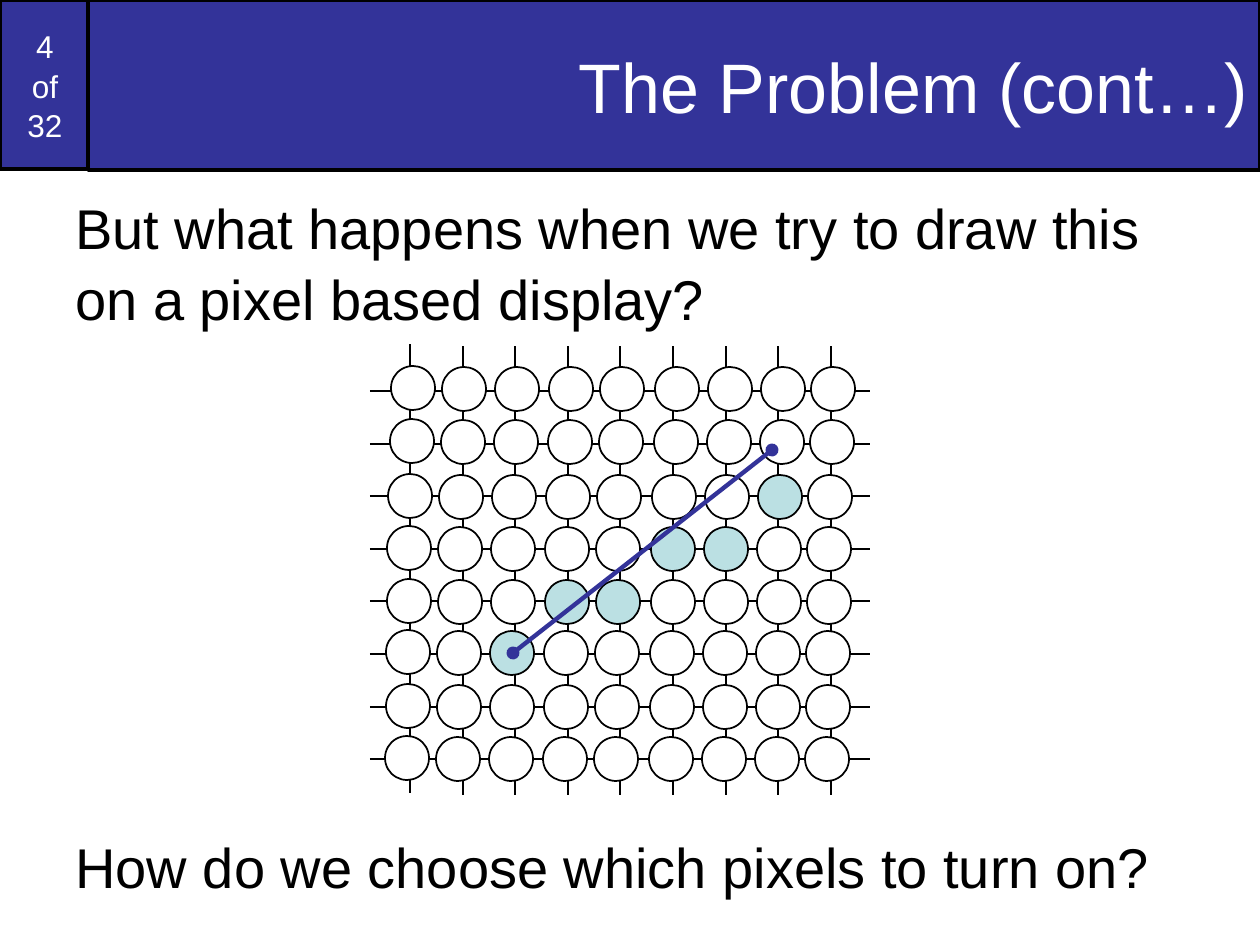
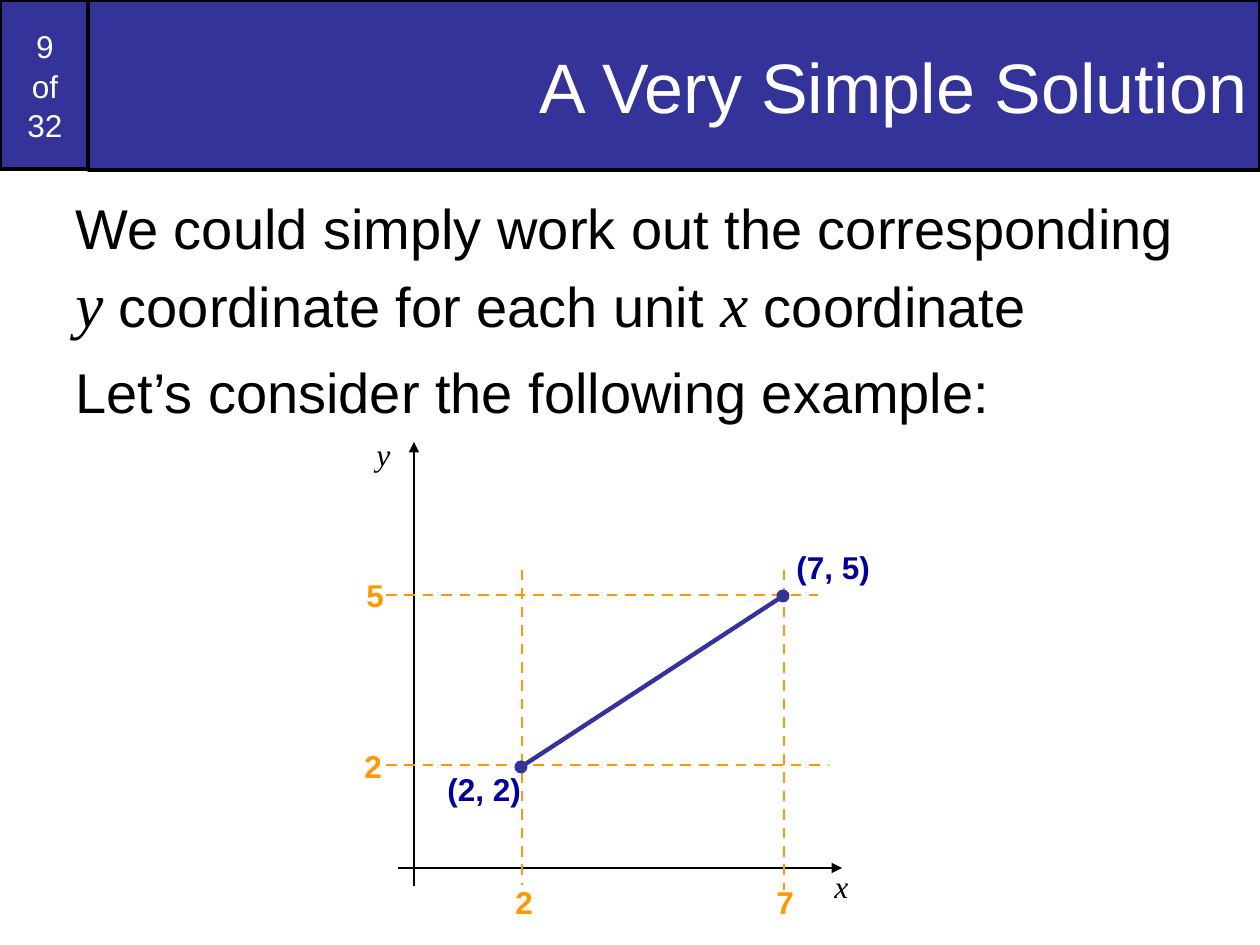
from dataclasses import dataclass
from typing import Optional

from lxml import etree
from pptx import Presentation
from pptx.dml.color import RGBColor
from pptx.enum.dml import MSO_LINE
from pptx.enum.shapes import MSO_CONNECTOR, MSO_SHAPE
from pptx.enum.text import MSO_ANCHOR, MSO_AUTO_SIZE, PP_ALIGN
from pptx.oxml.ns import qn
from pptx.util import Pt

STRAIGHT = MSO_CONNECTOR.STRAIGHT
RECTANGLE, OVAL = MSO_SHAPE.RECTANGLE, MSO_SHAPE.OVAL
LEFT, CENTER, RIGHT = PP_ALIGN.LEFT, PP_ALIGN.CENTER, PP_ALIGN.RIGHT
TOP, MIDDLE = MSO_ANCHOR.TOP, MSO_ANCHOR.MIDDLE
DASH, SOLID = MSO_LINE.DASH, MSO_LINE.SOLID
NO_FIT = MSO_AUTO_SIZE.NONE

EMU_PER_PIXEL = 914400 / 126
SLIDE_WIDTH, SLIDE_HEIGHT = 1260, 945
TITLE_ONLY = 5
SLIDE_TOTAL = 32


@dataclass(frozen=True)
class Theme:
    band: str = "333399"
    ink: str = "000000"
    paper: str = "FFFFFF"
    lit: str = "BBE0E3"
    guide: str = "FF9900"
    point: str = "000099"
    sans: str = "Arial"
    serif: str = "Times New Roman"
    title_size: int = 40
    body_size: int = 32
    symbol_size: int = 36
    small_size: int = 18
    thin: float = 1
    dashed: float = 1.5
    frame: float = 2
    segment: float = 2.5


THEME = Theme()


@dataclass(frozen=True)
class Box:
    left: int
    top: int
    width: int
    height: int


@dataclass(frozen=True)
class Line:
    x1: int
    y1: int
    x2: int
    y2: int
    color: str = THEME.ink
    weight: float = THEME.thin
    dash: MSO_LINE = SOLID
    head: Optional[str] = None
    tail: Optional[str] = None


@dataclass(frozen=True)
class Label:
    text: str
    left: int
    top: int
    width: int
    color: str = THEME.guide
    symbol: bool = False


@dataclass(frozen=True)
class Symbol:
    text: str


TITLE_BOX = Box(88, 0, 1172, 170)
BADGE_BOX = Box(0, 0, 90, 169)
LABEL_HEIGHT = 50

GRID_PITCH = 52.6
GRID_LEFT, GRID_TOP = 410, 391
COLUMNS, ROWS = 9, 8
PIXEL_SIZE = 44
PIXEL_LEFTS = (391, 442, 495, 549, 600, 655, 708, 761, 811)
PIXEL_TOPS = (367, 420, 475, 527, 580, 631, 685, 737)
ROW_SHIFTS = (0, 1, 3, 4, 4, 5, 5, 6)
LIT_PIXELS = {(2, 7), (3, 5), (3, 6), (4, 3), (4, 4), (5, 2)}

AXES = (
    Line(414, 886, 414, 442, tail="triangle"),
    Line(398, 868, 842, 868, tail="triangle"),
)
GUIDES = tuple(
    Line(*ends, color=THEME.guide, weight=THEME.dashed, dash=DASH)
    for ends in ((386, 765, 829, 765), (386, 595, 818, 595),
                 (522, 570, 522, 885), (784, 570, 784, 890))
)
AXIS_LABELS = (
    Label("x", 822, 861, 39, THEME.ink, symbol=True),
    Label("y", 364, 429, 39, THEME.ink, symbol=True),
    Label("(2, 2)", 435, 764, 98, THEME.point),
    Label("(7, 5)", 784, 542, 98, THEME.point),
    Label("2", 503, 877, 43),
    Label("7", 764, 877, 43),
    Label("2", 352, 741, 43),
    Label("5", 354, 570, 43),
)


def px(length: float) -> int:
    return round(length * EMU_PER_PIXEL)


def corners(box: Box) -> tuple:
    return px(box.left), px(box.top), px(box.width), px(box.height)


def rgb(color: str) -> RGBColor:
    return RGBColor.from_string(color)


def write_text(frame, *paragraphs, size=THEME.body_size, font=THEME.sans,
               color=THEME.ink, bold=False, italic=False, align=LEFT,
               anchor=TOP, before=0.0, spacing=1.0, wrap=True) -> None:
    frame.word_wrap = wrap
    frame.auto_size = NO_FIT
    frame.vertical_anchor = anchor
    frame.margin_left = frame.margin_right = Pt(7.2)
    frame.margin_top = frame.margin_bottom = Pt(3.6)
    for index, parts in enumerate(paragraphs):
        paragraph = frame.add_paragraph() if index else frame.paragraphs[0]
        paragraph.alignment = align
        paragraph.space_before = Pt(before)
        paragraph.line_spacing = spacing
        for part in (parts if isinstance(parts, tuple) else (parts,)):
            symbol = isinstance(part, Symbol)
            words = part.text if symbol else part
            for number, words_on_line in enumerate(words.split("\n")):
                if number:
                    paragraph.add_line_break()
                run = paragraph.add_run()
                run.text = words_on_line
                run.font.name = THEME.serif if symbol else font
                run.font.size = Pt(THEME.symbol_size if symbol else size)
                run.font.bold = bold
                run.font.italic = symbol or italic
                run.font.color.rgb = rgb(color)


def paint(shape, fill: str, weight: float) -> None:
    shape.shadow.inherit = False
    shape.fill.solid()
    shape.fill.fore_color.rgb = rgb(fill)
    shape.line.color.rgb = rgb(THEME.ink)
    shape.line.width = Pt(weight)


def draw_line(slide, line: Line) -> None:
    connector = slide.shapes.add_connector(
        STRAIGHT, px(line.x1), px(line.y1), px(line.x2), px(line.y2))
    connector.line.color.rgb = rgb(line.color)
    connector.line.width = Pt(line.weight)
    connector.line.dash_style = line.dash
    properties = connector.element.spPr
    outline = properties.find(qn("a:ln"))
    for tag, arrow in (("a:headEnd", line.head), ("a:tailEnd", line.tail)):
        if arrow:
            etree.SubElement(outline, qn(tag), type=arrow)
    etree.SubElement(properties, qn("a:effectLst"))


def draw_segment(slide, x1: int, y1: int, x2: int, y2: int) -> None:
    draw_line(slide, Line(x1, y1, x2, y2, THEME.band, THEME.segment,
                          head="oval", tail="oval"))


def add_passage(slide, box: Box, *paragraphs) -> None:
    passage = slide.shapes.add_textbox(*corners(box))
    write_text(passage.text_frame, *paragraphs, before=8, spacing=1.05)


def add_label(slide, label: Label) -> None:
    box = Box(label.left, label.top, label.width, LABEL_HEIGHT)
    caption = slide.shapes.add_textbox(*corners(box))
    write_text(caption.text_frame, label.text, size=THEME.small_size,
               font=THEME.serif if label.symbol else THEME.sans,
               color=label.color, bold=not label.symbol,
               italic=label.symbol, wrap=False)


def add_titled_slide(deck, title: str, number: int):
    slide = deck.slides.add_slide(deck.slide_layouts[TITLE_ONLY])
    heading = slide.shapes.title
    heading.left, heading.top, heading.width, heading.height = corners(TITLE_BOX)
    heading.fill.solid()
    heading.fill.fore_color.rgb = rgb(THEME.band)
    heading.line.color.rgb = rgb(THEME.ink)
    heading.line.width = Pt(THEME.frame)
    write_text(heading.text_frame, title, size=THEME.title_size,
               color=THEME.paper, align=RIGHT, anchor=MIDDLE)
    badge = slide.shapes.add_shape(RECTANGLE, *corners(BADGE_BOX))
    paint(badge, THEME.band, THEME.frame)
    write_text(badge.text_frame, f"{number}\nof\n{SLIDE_TOTAL}",
               size=THEME.small_size, color=THEME.paper, align=CENTER,
               anchor=MIDDLE, before=11.2, spacing=1.05)
    heading.element.addprevious(badge.element)
    return slide


def draw_pixel_grid(slide) -> None:
    for column in range(COLUMNS):
        x = round(GRID_LEFT + column * GRID_PITCH)
        lift = 0 if column else 2
        draw_line(slide, Line(x, 795 - lift, x, 346 - lift))
    for row in range(ROWS):
        y = round(GRID_TOP + row * GRID_PITCH)
        draw_line(slide, Line(370, y, 870, y))
    for row, (top, shift) in enumerate(zip(PIXEL_TOPS, ROW_SHIFTS)):
        for column, left in enumerate(PIXEL_LEFTS):
            lift = 0 if column else 1
            box = Box(left - shift, top - lift, PIXEL_SIZE, PIXEL_SIZE)
            pixel = slide.shapes.add_shape(OVAL, *corners(box))
            lit = (row, column) in LIT_PIXELS
            paint(pixel, THEME.lit if lit else THEME.paper, THEME.thin)


def build_problem(deck) -> None:
    slide = add_titled_slide(deck, "The Problem (cont…)", 4)
    add_passage(slide, Box(63, 184, 1134, 163),
                "But what happens when we try to draw this on a pixel based display?")
    draw_pixel_grid(slide)
    add_passage(slide, Box(63, 823, 1134, 96),
                "How do we choose which pixels to turn on?")
    draw_segment(slide, 513, 653, 772, 450)


def build_solution(deck) -> None:
    slide = add_titled_slide(deck, "A Very Simple Solution", 9)
    add_passage(slide, Box(63, 184, 1134, 761),
                ("We could simply work out the corresponding ", Symbol("y"),
                 " coordinate for each unit ", Symbol("x"), " coordinate"),
                "Let’s consider the following example:")
    for line in AXES + GUIDES:
        draw_line(slide, line)
    draw_segment(slide, 521, 767, 783, 596)
    for label in AXIS_LABELS:
        add_label(slide, label)


def main() -> None:
    deck = Presentation()
    deck.slide_width, deck.slide_height = px(SLIDE_WIDTH), px(SLIDE_HEIGHT)
    build_problem(deck)
    build_solution(deck)
    deck.save("out.pptx")


main()
